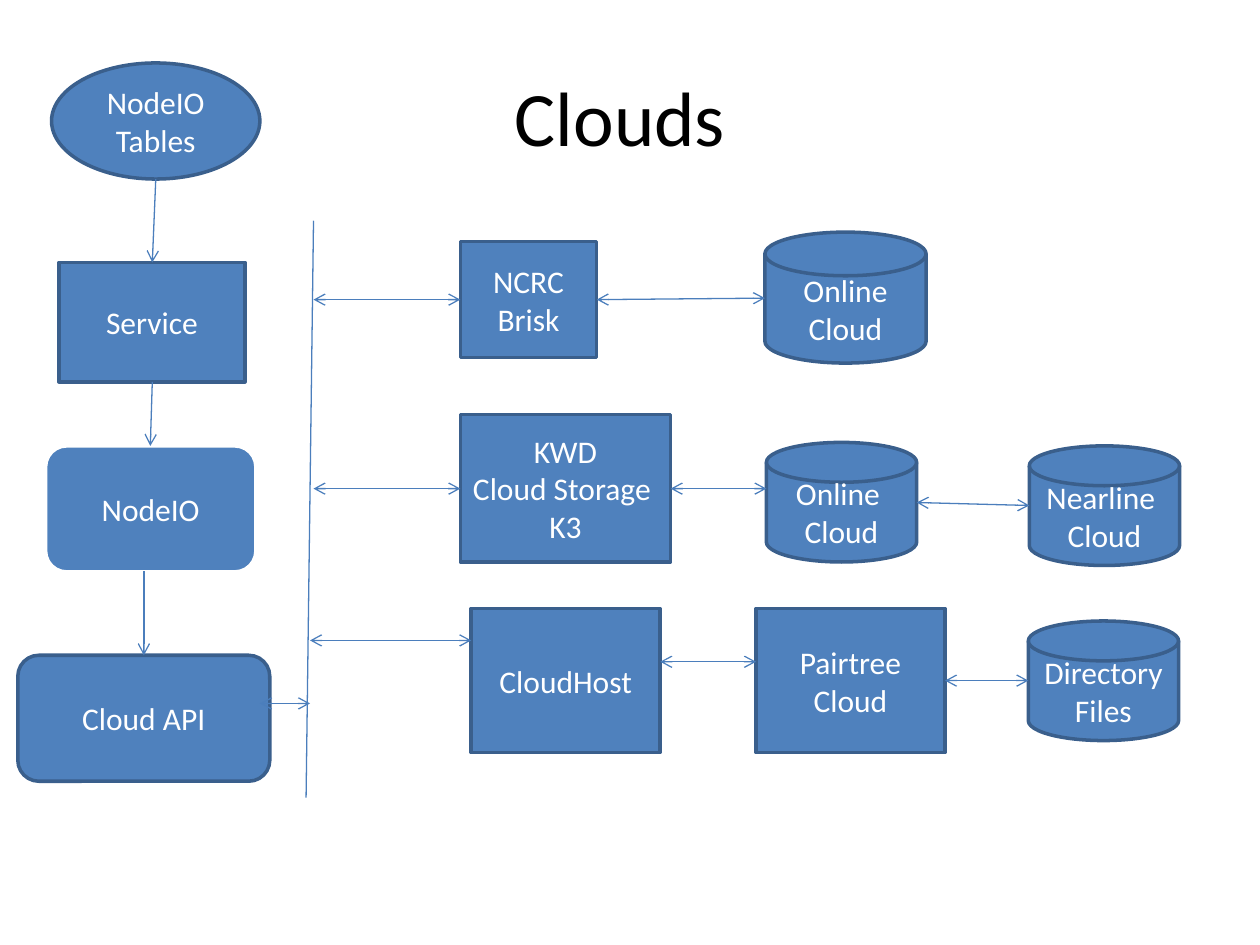
from lxml import etree
from pptx import Presentation
from pptx.dml.color import RGBColor
from pptx.enum.shapes import MSO_CONNECTOR, MSO_SHAPE as Shape
from pptx.enum.text import MSO_ANCHOR, PP_ALIGN
from pptx.oxml.ns import qn
from pptx.util import Cm, Pt


def color(hex_string):
    """Turn a hex string into a colour."""
    return RGBColor.from_string(hex_string)


def write(frame, lines, size, ink):
    """Write centred lines, one paragraph each."""
    frame.word_wrap = True
    frame.vertical_anchor = MSO_ANCHOR.MIDDLE
    for number, line in enumerate(lines):
        paragraph = frame.add_paragraph() if number else frame.paragraphs[0]
        paragraph.alignment = PP_ALIGN.CENTER
        run = paragraph.add_run()
        run.text = line
        run.font.name = "Calibri"
        run.font.size = Pt(size)
        run.font.color.rgb = color(ink)


deck = Presentation()
deck.slide_width, deck.slide_height = Cm(25.4), Cm(19.05)
slide = deck.slides.add_slide(deck.slide_layouts[5])

title = slide.shapes.title
title.left, title.top, title.width, title.height = Cm(1.07), Cm(0.74), Cm(22.86), Cm(3.18)
write(title.text_frame, ["Clouds"], 44, "000000")

EDGE = "3A5F8C"
DISK = Shape.FLOWCHART_MAGNETIC_DISK
# kind, left, top, width, height, outline, lines
components = [
    (Shape.OVAL, 1.04, 1.27, 4.2, 2.34, EDGE, ["NodeIO Tables"]),
    (Shape.RECTANGLE, 1.19, 5.29, 3.75, 2.41, EDGE, ["Service"]),
    (Shape.ROUNDED_RECTANGLE, 0.92, 8.99, 4.24, 2.54, "FFFFFF", ["NodeIO"]),
    (Shape.ROUNDED_RECTANGLE, 0.36, 13.21, 5.08, 2.54, EDGE, ["Cloud API"]),
    (Shape.RECTANGLE, 9.28, 4.87, 2.75, 2.34, EDGE, ["NCRC", "Brisk"]),
    (DISK, 15.42, 4.68, 3.25, 2.64, EDGE, ["Online", "Cloud"]),
    (Shape.RECTANGLE, 9.28, 8.36, 4.24, 2.97, EDGE, ["KWD", "Cloud Storage ", "K3"]),
    (DISK, 15.45, 8.92, 3.03, 2.41, EDGE, ["Online ", "Cloud"]),
    (DISK, 20.75, 8.99, 3.03, 2.41, EDGE, ["Nearline ", "Cloud"]),
    (Shape.RECTANGLE, 9.5, 12.27, 3.81, 2.9, EDGE, ["CloudHost"]),
    (Shape.RECTANGLE, 15.24, 12.27, 3.81, 2.9, EDGE, ["Pairtree", "Cloud"]),
    (DISK, 20.73, 12.52, 3.03, 2.41, EDGE, ["Directory", "Files"]),
]
for kind, left, top, width, height, outline, lines in components:
    component = slide.shapes.add_shape(kind, Cm(left), Cm(top), Cm(width), Cm(height))
    component.shadow.inherit = False
    component.fill.solid()
    component.fill.fore_color.rgb = color("4F81BD")
    component.line.color.rgb = color(outline)
    component.line.width = Pt(2)
    write(component.text_frame, lines, 18, "FFFFFF")

ONE_WAY, BOTH_WAYS = ["tailEnd"], ["headEnd", "tailEnd"]
# arrowheads, start x, start y, end x, end y
links = [
    ([], 6.17, 16.08, 6.32, 4.45),
    (ONE_WAY, 3.14, 3.61, 3.07, 5.29),
    (ONE_WAY, 3.07, 7.7, 3.03, 8.99),
    (ONE_WAY, 2.9, 11.52, 2.9, 13.21),
    (BOTH_WAYS, 5.24, 14.18, 6.25, 14.18),
    (BOTH_WAYS, 6.32, 6.04, 9.28, 6.04),
    (BOTH_WAYS, 12.03, 6.04, 15.42, 6.01),
    (BOTH_WAYS, 6.32, 9.85, 9.28, 9.85),
    (BOTH_WAYS, 13.52, 9.85, 15.45, 9.85),
    (BOTH_WAYS, 18.48, 10.13, 20.75, 10.19),
    (BOTH_WAYS, 6.25, 12.91, 9.5, 12.91),
    (BOTH_WAYS, 13.31, 13.34, 15.24, 13.34),
    (BOTH_WAYS, 19.05, 13.72, 20.73, 13.72),
]
for arrowheads, *ends in links:
    link = slide.shapes.add_connector(MSO_CONNECTOR.STRAIGHT, *map(Cm, ends))
    link.line.color.rgb = color("4B7EBC")
    link.line.width = Pt(0.75)
    for end in arrowheads:
        etree.SubElement(link.line._get_or_add_ln(), qn(f"a:{end}"), type="arrow")
    etree.SubElement(link._element.spPr, qn("a:effectLst"))

deck.save("out.pptx")
